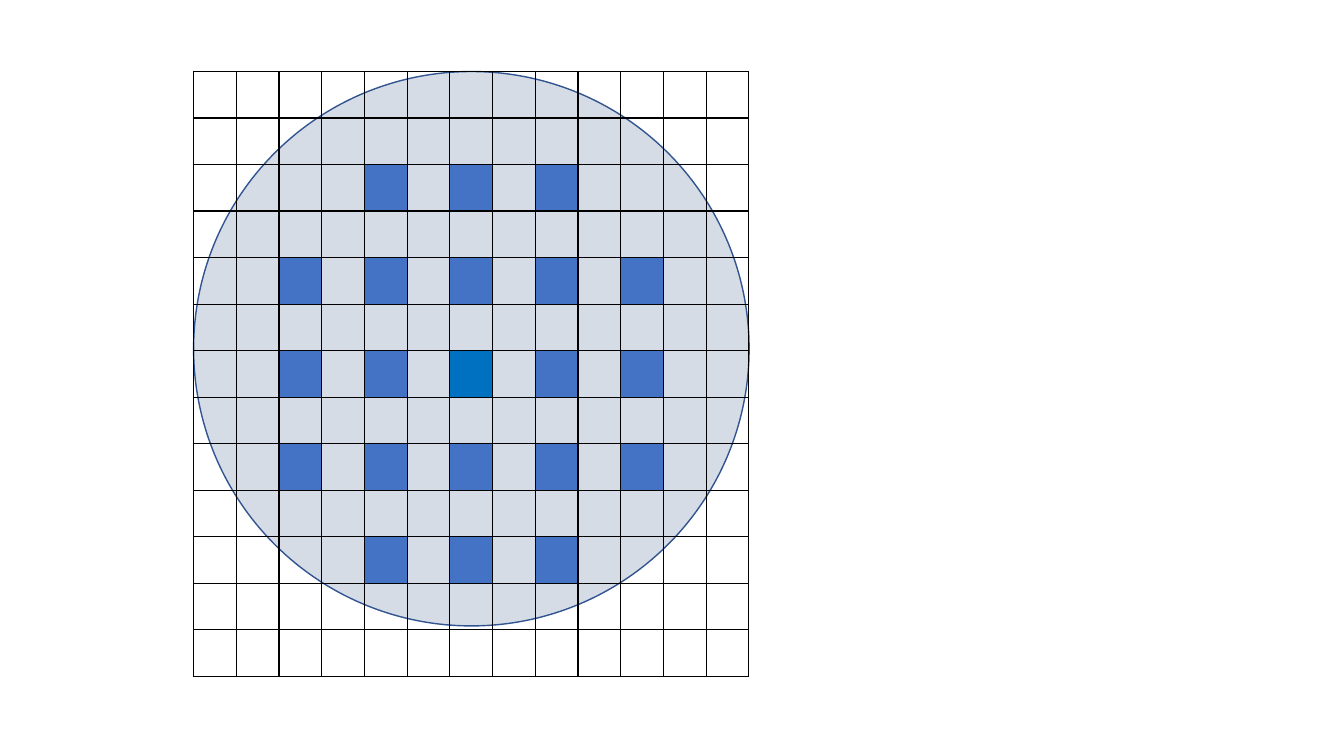
from typing import NamedTuple

from lxml import etree
from pptx import Presentation
from pptx.dml.color import RGBColor
from pptx.enum.shapes import MSO_SHAPE
from pptx.oxml.ns import qn
from pptx.slide import Slide
from pptx.table import Table, _Cell
from pptx.util import Inches, Pt

ELLIPSE = MSO_SHAPE.OVAL

BLACK = RGBColor(0x00, 0x00, 0x00)
WHITE = RGBColor(0xFF, 0xFF, 0xFF)
DISC_FILL = RGBColor(0xD6, 0xDC, 0xE5)
DISC_LINE = RGBColor(0x32, 0x54, 0x91)
SAMPLE_BLUE = RGBColor(0x44, 0x72, 0xC4)
CENTRE_BLUE = RGBColor(0x00, 0x70, 0xC0)

GRID_SIZE = 13
GRID_LEFT, GRID_TOP = Inches(1.92), Inches(0.71)
GRID_WIDTH, GRID_HEIGHT = Inches(5.51), Inches(6)
DISC_HEIGHT = Inches(5.5)
BORDER_WIDTH = Pt(1)
BORDER_TAGS = ("a:lnL", "a:lnR", "a:lnT", "a:lnB")


class CellBand(NamedTuple):
    """Cells of one row that share a fill."""
    row: int
    columns: range
    color: RGBColor


CELL_BANDS = [
    CellBand(2, range(4, 9, 2), SAMPLE_BLUE),
    *(CellBand(row, range(2, 11, 2), SAMPLE_BLUE) for row in (4, 6, 8)),
    CellBand(10, range(4, 9, 2), SAMPLE_BLUE),
    CellBand(6, range(6, 7), CENTRE_BLUE),
    CellBand(12, range(3, 10), WHITE),
]


def add_disc(slide: Slide) -> None:
    disc = slide.shapes.add_shape(ELLIPSE, GRID_LEFT, GRID_TOP, GRID_WIDTH, DISC_HEIGHT)
    disc.shadow.inherit = False
    disc.fill.solid()
    disc.fill.fore_color.rgb = DISC_FILL
    disc.line.color.rgb = DISC_LINE
    disc.line.width = Pt(1)


def add_borders(cell: _Cell) -> None:
    properties = cell._tc.get_or_add_tcPr()
    for tag in BORDER_TAGS:
        border = etree.SubElement(properties, qn(tag), w=str(BORDER_WIDTH))
        fill = etree.SubElement(border, qn("a:solidFill"))
        etree.SubElement(fill, qn("a:srgbClr"), val=str(BLACK))


def add_grid(slide: Slide) -> Table:
    table = slide.shapes.add_table(
        GRID_SIZE, GRID_SIZE, GRID_LEFT, GRID_TOP, GRID_WIDTH, GRID_HEIGHT
    ).table
    table.first_row = False
    table.horz_banding = False
    for cell in table.iter_cells():
        add_borders(cell)
        cell.fill.background()
    return table


def fill_band(table: Table, band: CellBand) -> None:
    for column in band.columns:
        fill = table.cell(band.row, column).fill
        fill.solid()
        fill.fore_color.rgb = band.color


def main() -> None:
    presentation = Presentation()
    presentation.slide_width = Inches(13.33)
    presentation.slide_height = Inches(7.5)
    blank_layout = presentation.slide_layouts[6]
    slide = presentation.slides.add_slide(blank_layout)
    add_disc(slide)
    table = add_grid(slide)
    for band in CELL_BANDS:
        fill_band(table, band)
    presentation.save("out.pptx")


if __name__ == "__main__":
    main()
